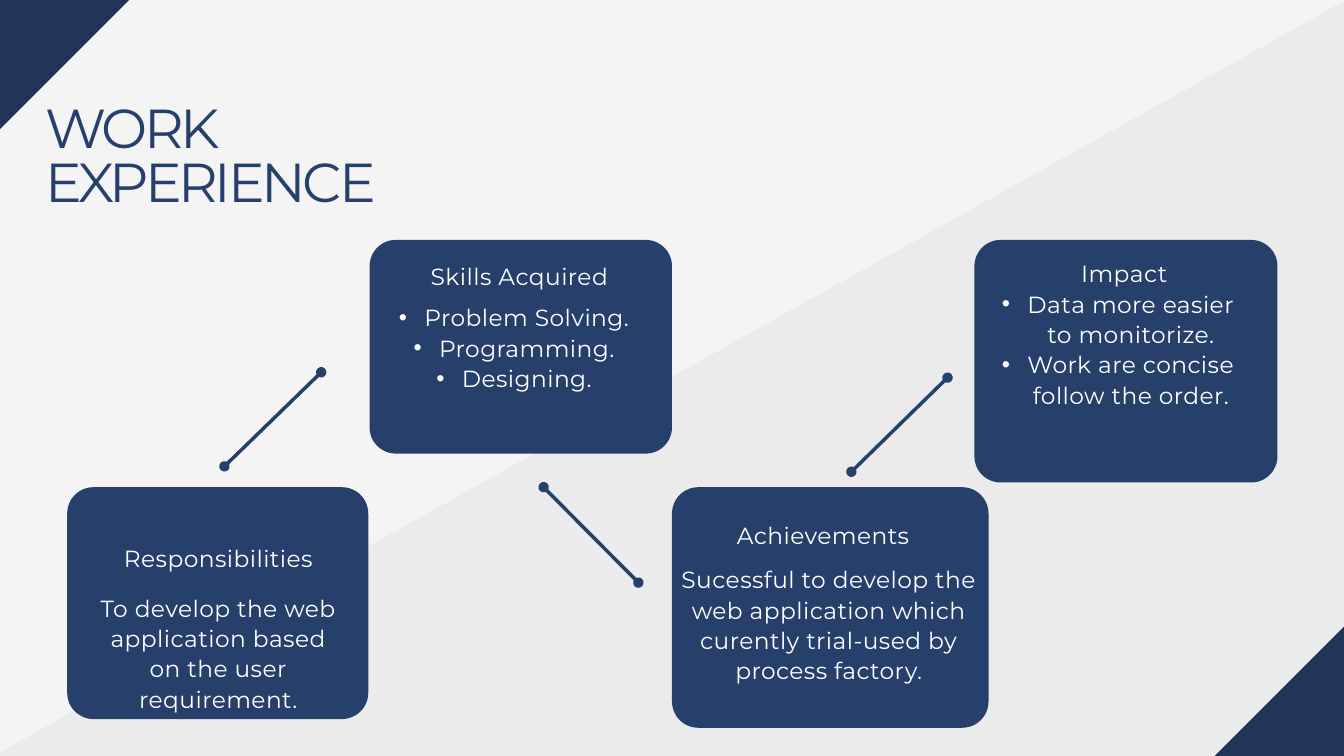
from lxml import etree
from pptx import Presentation
from pptx import util as u
from pptx.dml import color
from pptx.enum import shapes, text
from pptx.oxml import ns

THEME = {
    "font": "Montserrat",
    "background": "F4F4F4", "band": "545454",
    "card": "263F6B", "corner": "213559", "text": "FFFFFF",
    "title_size": 58.8, "title_leading": 57.6, "title_spacing": -3.5,
    "body_size": 25, "body_leading": 32.5, "body_spacing": 0.5,
}


def write(box, lines, align=text.PP_ALIGN.CENTER, role="body", ink="text", bullets=False):
    """Fill a text box or placeholder with one paragraph per line."""
    frame = box.text_frame
    frame.word_wrap = True
    frame.auto_size = text.MSO_AUTO_SIZE.NONE
    frame.vertical_anchor = text.MSO_ANCHOR.TOP
    frame.margin_left = frame.margin_top = frame.margin_right = frame.margin_bottom = 0
    for index, line in enumerate(lines):
        para = frame.add_paragraph() if index else frame.paragraphs[0]
        para.alignment = align
        para.line_spacing = u.Pt(THEME[role + "_leading"])
        para.space_before = u.Pt(0)
        if bullets:
            properties = para._p.get_or_add_pPr()
            properties.set("marL", str(u.Inches(0.38)))
            properties.set("indent", str(-u.Inches(0.38)))
            etree.SubElement(properties, ns.qn("a:buFont")).set("typeface", "Arial")
            etree.SubElement(properties, ns.qn("a:buChar")).set("char", "•")
        span = para.add_run()
        span.text = line
        span.font.name = THEME["font"]
        span.font.size = u.Pt(THEME[role + "_size"])
        span.font.color.rgb = color.RGBColor.from_string(THEME[ink])
        span._r.get_or_add_rPr().set("spc", str(round(THEME[role + "_spacing"] * 100)))


def add_block(page, kind, place, fill, rotation=0):
    """Add a plain filled shape without outline or shadow."""
    block = page.shapes.add_shape(kind, *map(u.Inches, place))
    block.rotation = rotation
    block.shadow.inherit = False
    block.fill.solid()
    block.fill.fore_color.rgb = color.RGBColor.from_string(THEME[fill])
    block.line.fill.background()
    return block


deck = Presentation()
deck.slide_width, deck.slide_height = u.Inches(20), u.Inches(11.25)
page = deck.slides.add_slide(deck.slide_layouts[5])
page.background.fill.solid()
page.background.fill.fore_color.rgb = color.RGBColor.from_string(THEME["background"])

# Pale diagonal band
band = add_block(page, shapes.MSO_SHAPE.RECTANGLE, (-1.22, 4.76, 28.2, 10.48), "band", 330.8)
shade = band._element.spPr.find(".//" + ns.qn("a:srgbClr"))
etree.SubElement(shade, ns.qn("a:alpha")).set("val", "5000")

# Title
title = page.shapes.title
title.left, title.top, title.width, title.height = map(u.Inches, (0.67, 1.58, 5.67, 1.63))
write(title, ["WORK EXPERIENCE"], align=text.PP_ALIGN.LEFT, role="title", ink="card")

# Cards: place, heading, heading place, body lines, body place, bullets
cards = [
    ((1, 7.25, 4.48, 3.45), "Responsibilities", (1, 8.07, 4.5, 0.46),
     ["To develop the web application based on the user requirement."],
     (1.48, 8.8, 3.54, 1.85), False),
    ((5.5, 3.57, 4.5, 3.18), "Skills Acquired", (5.48, 3.86, 4.5, 0.46),
     ["Problem Solving.", "Programming.", "Designing."],
     (5.88, 4.48, 3.54, 1.85), True),
    ((10, 7.25, 4.71, 3.58), "Achievements", (10, 7.72, 4.5, 0.46),
     ["Sucessful to develop the web application which curently trial-used by process factory."],
     (9.97, 8.38, 4.73, 2.31), False),
    ((14.5, 3.57, 4.51, 3.61), "Impact", (14.48, 3.82, 4.5, 0.46),
     ["Data more easier to monitorize.", "Work are concise follow the order."],
     (14.87, 4.28, 3.54, 2.78), True),
]
for place, heading, heading_place, body, body_place, bullets in cards:
    card = add_block(page, shapes.MSO_SHAPE.ROUNDED_RECTANGLE, place, "card")
    card.adjustments[0] = 0.39 / min(place[2:])
    write(page.shapes.add_textbox(*map(u.Inches, heading_place)), [heading])
    write(page.shapes.add_textbox(*map(u.Inches, body_place)), body, bullets=bullets)

# Links between the cards, with a dot at each end
for ends in [(3.34, 6.94, 4.78, 5.54), (8.09, 7.25, 9.5, 8.67), (12.67, 7.02, 14.1, 5.62)]:
    link = page.shapes.add_connector(shapes.MSO_CONNECTOR.STRAIGHT, *map(u.Inches, ends))
    link.line.width = u.Pt(3.75)
    link.line.color.rgb = color.RGBColor.from_string(THEME["card"])
    for tag in ("a:headEnd", "a:tailEnd"):
        etree.SubElement(link.line._get_or_add_ln(), ns.qn(tag)).set("type", "oval")
    etree.SubElement(link._element.spPr, ns.qn("a:effectLst"))

# Dark corners: rectangles turned by 45 degrees and centred on two slide corners
width, height = 5.79, 2.72
for x, y in [(20, 11.25), (0, 0)]:
    add_block(page, shapes.MSO_SHAPE.RECTANGLE,
              (x - width / 2, y - height / 2, width, height), "corner", 315)

deck.save("out.pptx")
